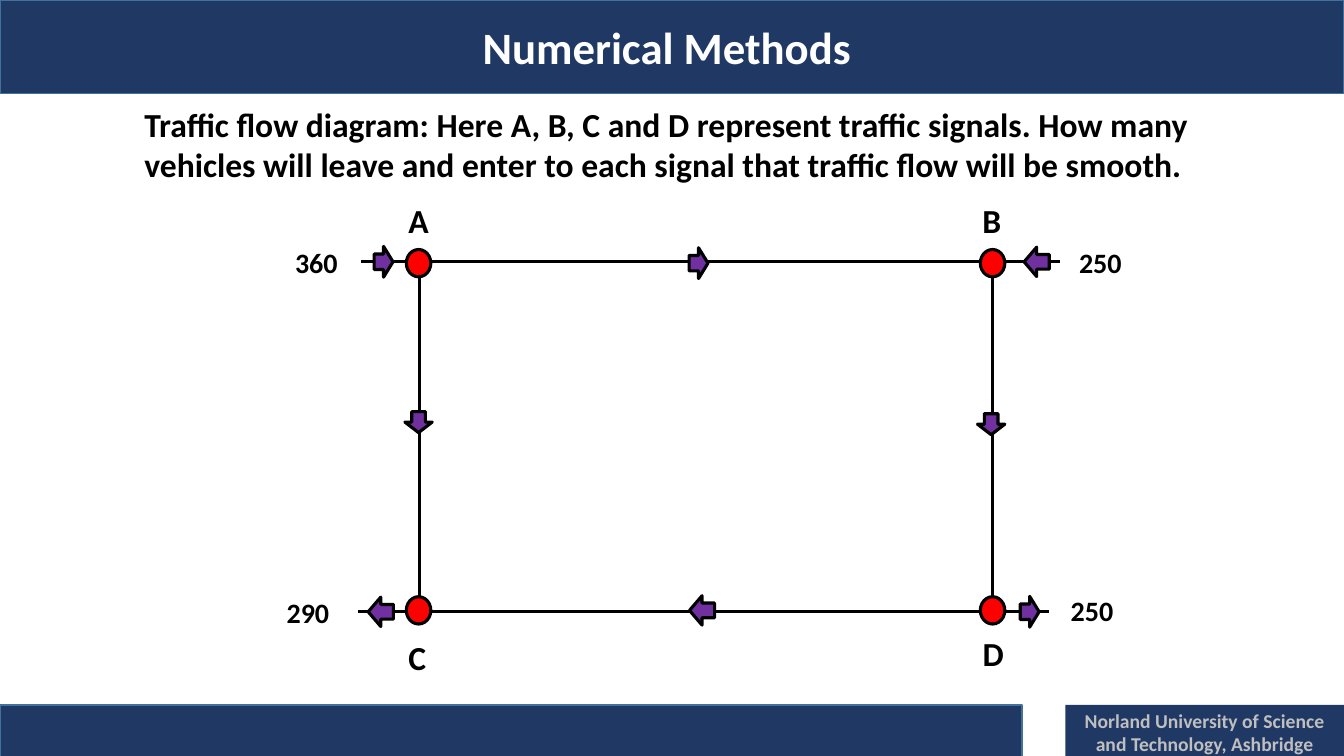
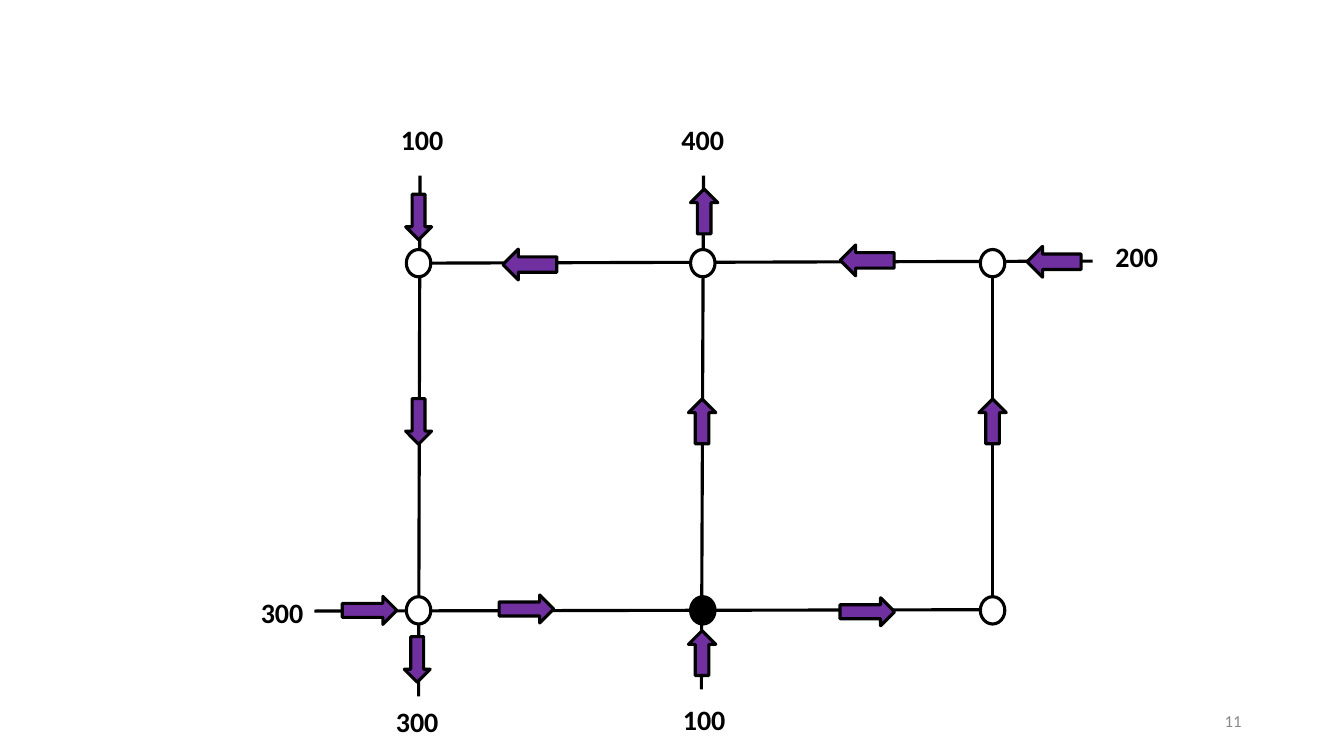
from collections import namedtuple

from lxml.etree import SubElement
from pptx import Presentation
from pptx.dml.color import RGBColor
from pptx.enum.shapes import MSO_CONNECTOR, MSO_SHAPE
from pptx.enum.text import MSO_ANCHOR, PP_ALIGN
from pptx.oxml.ns import qn
from pptx.util import Pt

NAVY = RGBColor(0x20, 0x38, 0x64)
BAND_EDGE = RGBColor(0x41, 0x71, 0x9C)
PURPLE = RGBColor(0x70, 0x30, 0xA0)
RED = RGBColor(0xFF, 0x00, 0x00)
BLACK = RGBColor(0x00, 0x00, 0x00)
WHITE = RGBColor(0xFF, 0xFF, 0xFF)
SILVER = RGBColor(0xBF, 0xBF, 0xBF)
GRAY = RGBColor(0x89, 0x89, 0x89)
FONT = "Calibri"
STROKE = 2.25
NODE_SIZE = (17.5, 19.5)
PAGE_WIDTH, PAGE_HEIGHT = 960, 540
TITLE_ONLY, BLANK = 5, 6

Box = namedtuple("Box", "left top width height")
NETWORK = Box(299, 188, 410, 248)
RIGHT, MIDDLE, BOTTOM = NETWORK.width, 203, NETWORK.height
ARROWS = {
    "right": MSO_SHAPE.RIGHT_ARROW,
    "left": MSO_SHAPE.LEFT_ARROW,
    "down": MSO_SHAPE.DOWN_ARROW,
    "up": MSO_SHAPE.UP_ARROW,
}


def in_points(box):
    """Return the four lengths of a box as Pt values."""
    return [Pt(value) for value in box]


def centred(origin, place, size):
    """Return a box of a size around a place relative to an origin box."""
    width, height = size
    left = origin.left + place[0] - width / 2
    top = origin.top + place[1] - height / 2
    return Box(left, top, width, height)


def paint(shape, fill, edge, weight):
    """Give a shape a solid fill and an outline."""
    shape.fill.solid()
    shape.fill.fore_color.rgb = fill
    shape.line.color.rgb = edge
    shape.line.width = Pt(weight)


def add_shape(page, kind, box, fill, edge=BLACK, weight=STROKE):
    """Add a flat preset shape."""
    shape = page.shapes.add_shape(kind, *in_points(box))
    shape.shadow.inherit = False
    paint(shape, fill, edge, weight)
    return shape


def write(shape, text, size, color=BLACK, bold=True,
          align=PP_ALIGN.CENTER, wrap=False):
    """Set and format the text of a shape."""
    frame = shape.text_frame
    frame.text = text
    frame.word_wrap = wrap
    frame.vertical_anchor = MSO_ANCHOR.MIDDLE
    for para in frame.paragraphs:
        para.alignment = align
        for span in para.runs:
            span.font.name = FONT
            span.font.size = Pt(size)
            span.font.bold = bold
            span.font.color.rgb = color


def add_text(page, box, text, size, **style):
    """Add a text box."""
    write(page.shapes.add_textbox(*in_points(box)), text, size, **style)


def add_road(page, box, start, end):
    """Draw a straight road between two places relative to a box."""
    ends = [Pt(value) for x, y in (start, end)
            for value in (box.left + x, box.top + y)]
    road = page.shapes.add_connector(MSO_CONNECTOR.STRAIGHT, *ends)
    road.line.color.rgb = BLACK
    road.line.width = Pt(STROKE)
    SubElement(road._element.spPr, qn("a:effectLst"))


def add_network(page, box, roads, arrows, arrow_sizes, nodes, labels):
    """Draw roads, flow arrows, signals and labels relative to a box."""
    for start, end in roads:
        add_road(page, box, start, end)
    for direction, *place in arrows:
        arrow_box = centred(box, place, arrow_sizes[direction])
        add_shape(page, ARROWS[direction], arrow_box, PURPLE)
    for x, y, fill in nodes:
        node_box = centred(box, (x, y), NODE_SIZE)
        add_shape(page, MSO_SHAPE.FLOWCHART_CONNECTOR, node_box, fill)
    for text, size, *place in labels:
        add_text(page, centred(box, place, (45, 1.6 * size)), text, size)


def add_title_band(page, box, text):
    """Turn the title placeholder into the top band."""
    title = page.shapes.title
    title.left, title.top, title.width, title.height = in_points(box)
    paint(title, NAVY, BAND_EDGE, 1)
    write(title, text, 32, color=WHITE, wrap=True)


def add_footer(page, box, text):
    """Draw the bottom band and the institution box."""
    band = Box(box.left, box.top, 730, box.height)
    add_shape(page, MSO_SHAPE.RECTANGLE, band, NAVY, BAND_EDGE, 1)
    name_box = Box(box.left + 761, box.top, box.width - 761, box.height)
    name = add_shape(page, MSO_SHAPE.RECTANGLE, name_box, NAVY, NAVY, 0)
    name.line.fill.background()
    write(name, text, 14, color=SILVER, wrap=True)


def add_signals_slide(deck):
    """Build the traffic flow problem with four signals."""
    page = deck.slides.add_slide(deck.slide_layouts[TITLE_ONLY])
    add_title_band(page, Box(0, 0, PAGE_WIDTH, 67), "Numerical Methods ")
    add_footer(page, Box(0, 503.5, PAGE_WIDTH, 39),
               "Norland University of Science and Technology, Ashbridge")
    add_text(
        page, Box(96, 70.5, 770, 65),
        "Traffic flow diagram: Here A, B, C and D represent traffic signals. "
        "How many\nvehicles will leave and enter to each signal that traffic "
        "flow will be smooth.", 24, align=PP_ALIGN.LEFT)
    add_network(
        page, NETWORK,
        roads=[
            ((-41, -1), (458.5, -1)),
            ((-43, 249), (450.5, 249)),
            ((0.5, 0), (0.5, BOTTOM)),
            ((RIGHT, 0), (RIGHT, BOTTOM)),
        ],
        arrows=[
            ("right", -25, -1), ("right", 200, 0), ("left", 441.5, -1),
            ("down", 0, 113.5), ("down", 409, 115),
            ("left", -27, 249), ("left", 202.5, 248), ("right", 436.5, 249),
        ],
        arrow_sizes={"right": (13.5, 22), "left": (18, 21),
                     "down": (19.5, 15)},
        nodes=[(x, y, RED) for x in (0, RIGHT) for y in (0, BOTTOM)],
        labels=[
            ("360", 20, -73, -1), ("250", 20, 487, -1),
            ("290", 20, -79, 249), ("250", 20, 481, 248),
            ("A", 24, 0, -31), ("B", 24, 409.5, -31),
            ("C", 24, -1, 281.5), ("D", 24, 410.5, 278.5),
        ])


def add_junctions_slide(deck):
    """Build the flow network with six junctions."""
    page = deck.slides.add_slide(deck.slide_layouts[BLANK])
    add_text(page, Box(678, 500.5, 216, 29), "11", 12, color=GRAY,
             bold=False, align=PP_ALIGN.RIGHT, wrap=True)
    add_network(
        page, NETWORK,
        roads=[
            ((-9, 0), (481.5, -1.5)),
            ((-74.5, 248.5), (414, 247.5)),
            ((1, -62.5), (0, 309.5)),
            ((203.5, -62.5), (202, 304.5)),
            ((RIGHT, 0), (RIGHT, BOTTOM)),
        ],
        arrows=[
            ("left", 79.5, 1), ("left", 320.5, -2), ("left", 454, -1),
            ("right", -35, 248), ("right", 77, 247), ("right", 320.5, 249),
            ("down", 0, -33), ("down", 0, 113), ("down", -1, 283),
            ("up", 204, -37), ("up", 202.5, 113), ("up", 202.5, 278.5),
            ("up", RIGHT, 113),
        ],
        arrow_sizes={"right": (39, 20), "left": (38.5, 22),
                     "down": (18.5, 32.5), "up": (19.5, 32)},
        nodes=[
            (x, y, BLACK if (x, y) == (MIDDLE, BOTTOM) else WHITE)
            for x in (0, MIDDLE, RIGHT) for y in (0, BOTTOM)
        ],
        labels=[
            ("100", 20, 2.5, -88.5), ("400", 20, MIDDLE, -88.5),
            ("200", 20, 513, -5), ("300", 20, -97.5, 249),
            ("300", 20, -1, 327.5), ("100", 20, 204, 325.5),
        ])


def main():
    """Build and save the deck."""
    deck = Presentation()
    deck.slide_width, deck.slide_height = Pt(PAGE_WIDTH), Pt(PAGE_HEIGHT)
    add_signals_slide(deck)
    add_junctions_slide(deck)
    deck.save("out.pptx")


if __name__ == "__main__":
    main()
